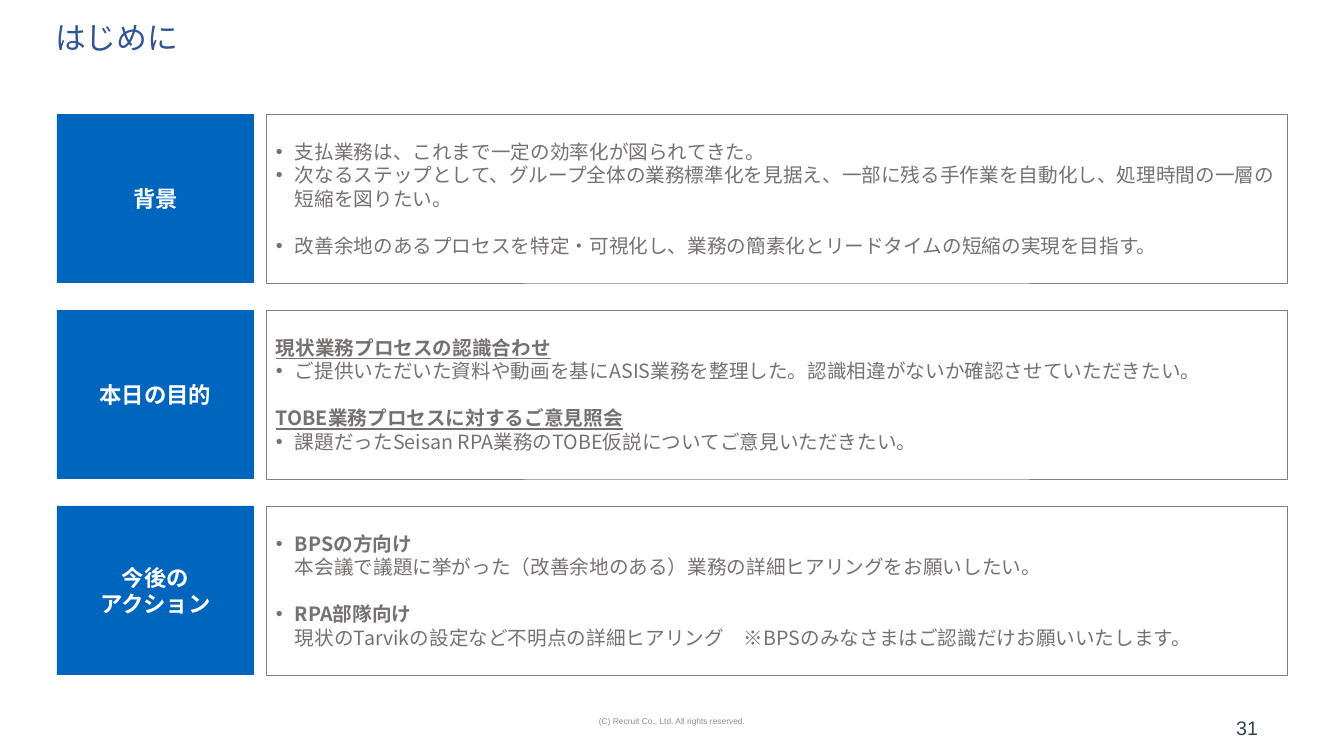
import collections

import lxml.etree
import pptx
import pptx.dml.color
import pptx.enum.shapes
import pptx.enum.text
import pptx.oxml.ns
import pptx.util

RGBColor = pptx.dml.color.RGBColor
Pt = pptx.util.Pt
ALIGN = pptx.enum.text.PP_ALIGN
MIDDLE = pptx.enum.text.MSO_ANCHOR.MIDDLE
qn = pptx.oxml.ns.qn

Item = collections.namedtuple("Item", "text lead heading gap", defaults=("", False, False))

TITLE = "はじめに"
FOOTER = "(C) Recruit Co., Ltd. All rights reserved."
PAGE_NUMBER = "31"
SECTIONS = [
    ("背景", [
        Item("支払業務は、これまで一定の効率化が図られてきた。"),
        Item("次なるステップとして、グループ全体の業務標準化を見据え、一部に残る手作業を自動化し、処理時間の一層の短縮を図りたい。"),
        Item("改善余地のあるプロセスを特定・可視化し、業務の簡素化とリードタイムの短縮の実現を目指す。", gap=True),
    ]),
    ("本日の目的", [
        Item("現状業務プロセスの認識合わせ", heading=True),
        Item("ご提供いただいた資料や動画を基にASIS業務を整理した。認識相違がないか確認させていただきたい。"),
        Item("TOBE業務プロセスに対するご意見照会", heading=True, gap=True),
        Item("課題だったSeisan RPA業務のTOBE仮説についてご意見いただきたい。"),
    ]),
    ("今後の\vアクション", [
        Item("本会議で議題に挙がった（改善余地のある）業務の詳細ヒアリングをお願いしたい。", lead="BPSの方向け"),
        Item("現状のTarvikの設定など不明点の詳細ヒアリング　※BPSのみなさまはご認識だけお願いいたします。",
             lead="RPA部隊向け", gap=True),
    ]),
]

JAPANESE_FONT = "Noto Sans CJK JP"
LATIN_FONT = "Arial"
TITLE_BLUE = RGBColor(0x2F, 0x55, 0x97)
LABEL_BLUE = RGBColor(0x00, 0x65, 0xBD)
WHITE = RGBColor(0xFF, 0xFF, 0xFF)
BORDER_GRAY = RGBColor(0x80, 0x80, 0x80)
BODY_GRAY = RGBColor(0x76, 0x71, 0x71)
FOOTER_GRAY = RGBColor(0x8C, 0x8C, 0x8C)
NUMBER_GRAY = RGBColor(0x34, 0x46, 0x4D)

SLIDE_WIDTH, SLIDE_HEIGHT = 1344, 756
LABEL_LEFT, LABEL_WIDTH = 57, 197
BODY_LEFT, BODY_WIDTH = 266, 1021
ROW_TOP, ROW_HEIGHT, ROW_PITCH = 114, 169, 196
BULLET_INDENT = 19
LINE_FACTOR = 1.2


def px(length):
    return pptx.util.Emu(round(length * 914400 / 100.8))


def area(*lengths):
    return [px(length) for length in lengths]


def format_paragraph(paragraph, name, size, color, bold=False, align=ALIGN.LEFT):
    paragraph.alignment = align
    font = paragraph.font
    font.name, font.size, font.bold = name, Pt(size), bold
    font.color.rgb = color
    properties = paragraph._p.get_or_add_pPr().find(qn("a:defRPr"))
    lxml.etree.SubElement(properties, qn("a:ea"), typeface=name)


def add_bullet(paragraph):
    properties = paragraph._p.get_or_add_pPr()
    properties.set("marL", str(px(BULLET_INDENT)))
    properties.set("indent", str(-px(BULLET_INDENT)))
    lxml.etree.SubElement(properties, qn("a:buFont"), typeface=LATIN_FONT)
    lxml.etree.SubElement(properties, qn("a:buChar"), char="•")


def add_box(slide, left, top, width, fill, border=None):
    shape = slide.shapes.add_shape(
        pptx.enum.shapes.MSO_SHAPE.RECTANGLE, *area(left, top, width, ROW_HEIGHT))
    shape.shadow.inherit = False
    shape.fill.solid()
    shape.fill.fore_color.rgb = fill
    if border is None:
        shape.line.fill.background()
    else:
        shape.line.color.rgb = border
        shape.line.width = Pt(0.5)
    frame = shape.text_frame
    frame.word_wrap = True
    frame.vertical_anchor = MIDDLE
    return frame


def fill_body(frame, items):
    for index, item in enumerate(items):
        paragraph = frame.add_paragraph() if index else frame.paragraphs[0]
        paragraph.line_spacing = Pt(14 * LINE_FACTOR)
        if item.gap:
            paragraph.space_before = Pt(14 * LINE_FACTOR)
        if not item.heading:
            add_bullet(paragraph)
        format_paragraph(paragraph, JAPANESE_FONT, 14, BODY_GRAY, bold=item.heading)
        if item.heading:
            paragraph.font.underline = True
        if item.lead:
            lead = paragraph.add_run()
            lead.text = item.lead
            lead.font.bold = True
            paragraph.add_line_break()
        paragraph.add_run().text = item.text


def add_caption(slide, box, text, size, color, align):
    frame = slide.shapes.add_textbox(*area(*box)).text_frame
    frame.word_wrap = True
    frame.vertical_anchor = MIDDLE
    frame.text = text
    format_paragraph(frame.paragraphs[0], LATIN_FONT, size, color, align=align)


def main():
    presentation = pptx.Presentation()
    presentation.slide_width = px(SLIDE_WIDTH)
    presentation.slide_height = px(SLIDE_HEIGHT)
    slide = presentation.slides.add_slide(presentation.slide_layouts.get_by_name("Title Only"))

    title = slide.shapes.title
    title.left, title.top, title.width, title.height = area(45, 5, 1240, 70)
    title.text_frame.text = TITLE
    title.text_frame.vertical_anchor = MIDDLE
    heading = title.text_frame.paragraphs[0]
    heading.line_spacing = 0.9
    format_paragraph(heading, JAPANESE_FONT, 22, TITLE_BLUE)

    for row, (label, items) in enumerate(SECTIONS):
        top = ROW_TOP + row * ROW_PITCH
        label_frame = add_box(slide, LABEL_LEFT, top, LABEL_WIDTH, LABEL_BLUE)
        paragraph = label_frame.paragraphs[0]
        paragraph.text = label
        paragraph.line_spacing = Pt(16 * LINE_FACTOR)
        format_paragraph(paragraph, JAPANESE_FONT, 16, WHITE, bold=True, align=ALIGN.CENTER)
        fill_body(add_box(slide, BODY_LEFT, top, BODY_WIDTH, WHITE, BORDER_GRAY), items)

    add_caption(slide, (445, 701, 454, 40), FOOTER, 6, FOOTER_GRAY, ALIGN.CENTER)
    add_caption(slide, (966, 708, 302, 40), PAGE_NUMBER, 14, NUMBER_GRAY, ALIGN.RIGHT)
    presentation.save("out.pptx")


if __name__ == "__main__":
    main()
